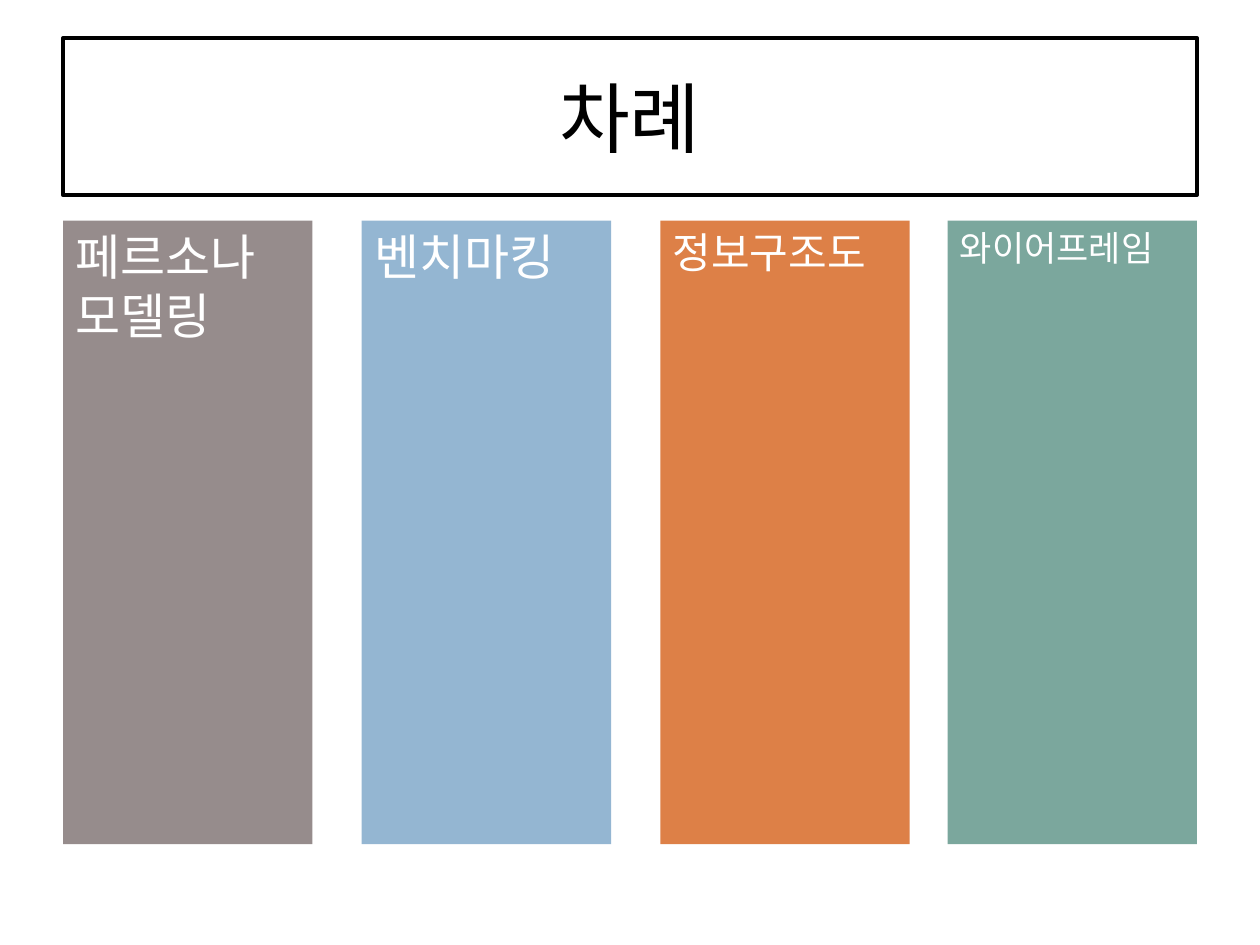
from pptx import Presentation
from pptx.dml.color import RGBColor
from pptx.enum.shapes import MSO_SHAPE
from pptx.enum.text import MSO_ANCHOR, PP_ALIGN
from pptx.oxml.ns import qn
from pptx.util import Inches, Pt

RECTANGLE = MSO_SHAPE.RECTANGLE
TOP, MIDDLE = MSO_ANCHOR.TOP, MSO_ANCHOR.MIDDLE
LEFT, CENTER = PP_ALIGN.LEFT, PP_ALIGN.CENTER

COLORS = {
    "white": "FFFFFF",
    "black": "000000",
    "taupe": "968C8C",
    "blue": "94B6D2",
    "orange": "DD8047",
    "green": "7BA79D",
}
FONT = "Noto Sans CJK KR"
WIDTH, HEIGHT = 10, 7.5
MARGIN = 0.05 * WIDTH
CONTENT_WIDTH = WIDTH - 2 * MARGIN
COLUMN_WIDTH = 0.22 * CONTENT_WIDTH
COLUMN_STEP = 2.37


def color(name):
    """Return the palette colour of that name."""
    return RGBColor.from_string(COLORS[name])


def write_text(box, text, size=28, ink="white", align=LEFT, anchor=TOP):
    """Write one formatted paragraph into a box."""
    frame = box.text_frame
    frame.word_wrap = True
    frame.vertical_anchor = anchor
    para = frame.paragraphs[0]
    para.alignment = align
    span = para.add_run()
    span.text = text
    span.font.size = Pt(size)
    span.font.name = FONT
    span.font.color.rgb = color(ink)
    east_asian = span.font._element.makeelement(qn("a:ea"), {"typeface": FONT})
    span.font._element.find(qn("a:latin")).addnext(east_asian)
    return para


class ContentsSlide:
    """Holds the slide and draws its title and columns."""

    def __init__(self, deck):
        self.page = deck.slides.add_slide(deck.slide_layouts[6])

    def panel(self, left, top, width, height, fill, outline=None):
        """Add a flat rectangle with an optional outline."""
        box = self.page.shapes.add_shape(
            RECTANGLE, Inches(left), Inches(top), Inches(width), Inches(height))
        box.shadow.inherit = False
        box.fill.solid()
        box.fill.fore_color.rgb = color(fill)
        if outline:
            box.line.color.rgb = color(outline)
            box.line.width = Pt(2)
        else:
            box.line.fill.background()
        return box

    def title(self, text):
        """Add the outlined title box."""
        box = self.panel(MARGIN, 0.04 * HEIGHT, CONTENT_WIDTH, 1.25, "white", "black")
        write_text(box, text, size=44, ink="black", align=CENTER, anchor=MIDDLE)

    def column(self, left, text, size, fill):
        """Add one coloured column with its heading."""
        box = self.panel(left, 1.75, COLUMN_WIDTH, 0.66 * HEIGHT, fill)
        para = write_text(box, text, size=size)
        para.space_before = Pt(0.2 * size)


deck = Presentation()
deck.slide_width, deck.slide_height = Inches(WIDTH), Inches(HEIGHT)
contents = ContentsSlide(deck)
contents.title("차례")

chapters = [
    ("페르소나 모델링", 28, "taupe"),
    ("벤치마킹", 28, "blue"),
    ("정보구조도", 24, "orange"),
    ("와이어프레임", 20, "green"),
]
last_left = WIDTH - MARGIN - COLUMN_WIDTH
for index, (text, size, fill) in enumerate(chapters):
    left = min(MARGIN + index * COLUMN_STEP, last_left)
    contents.column(left, text, size, fill)

deck.save("out.pptx")
